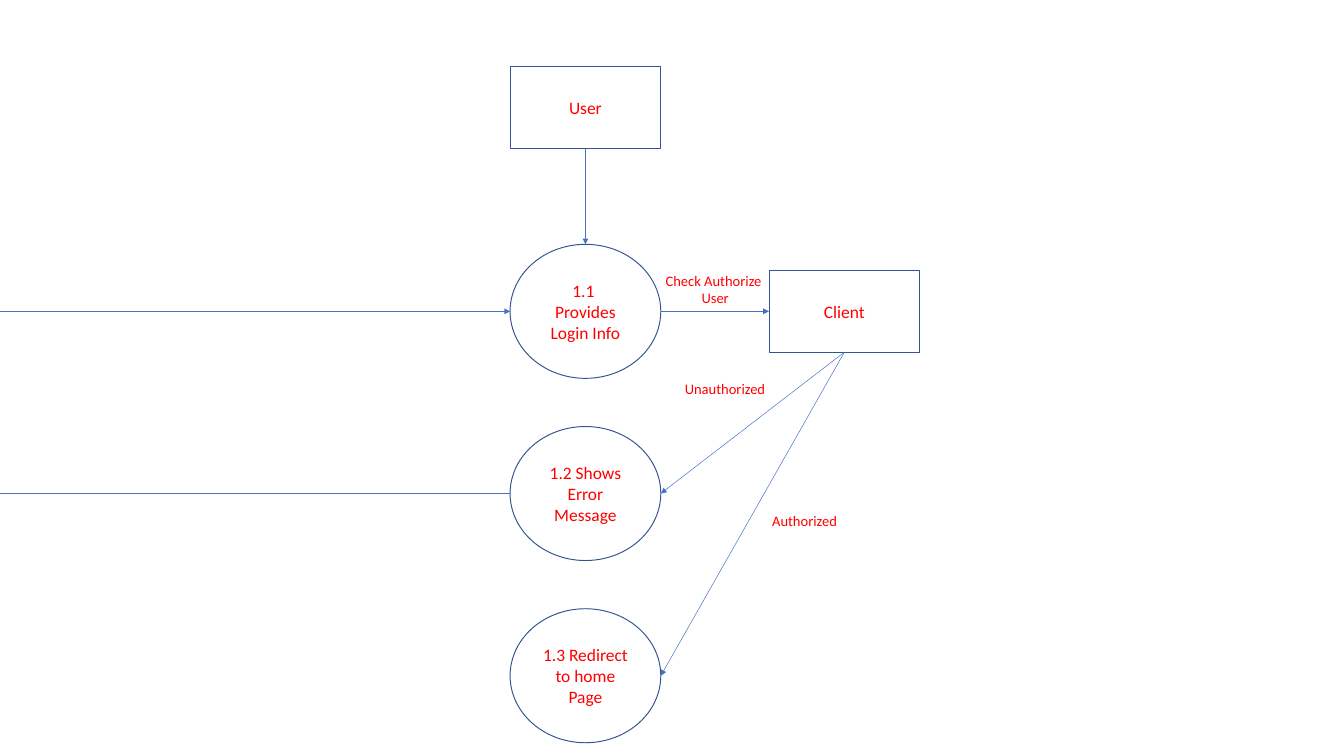
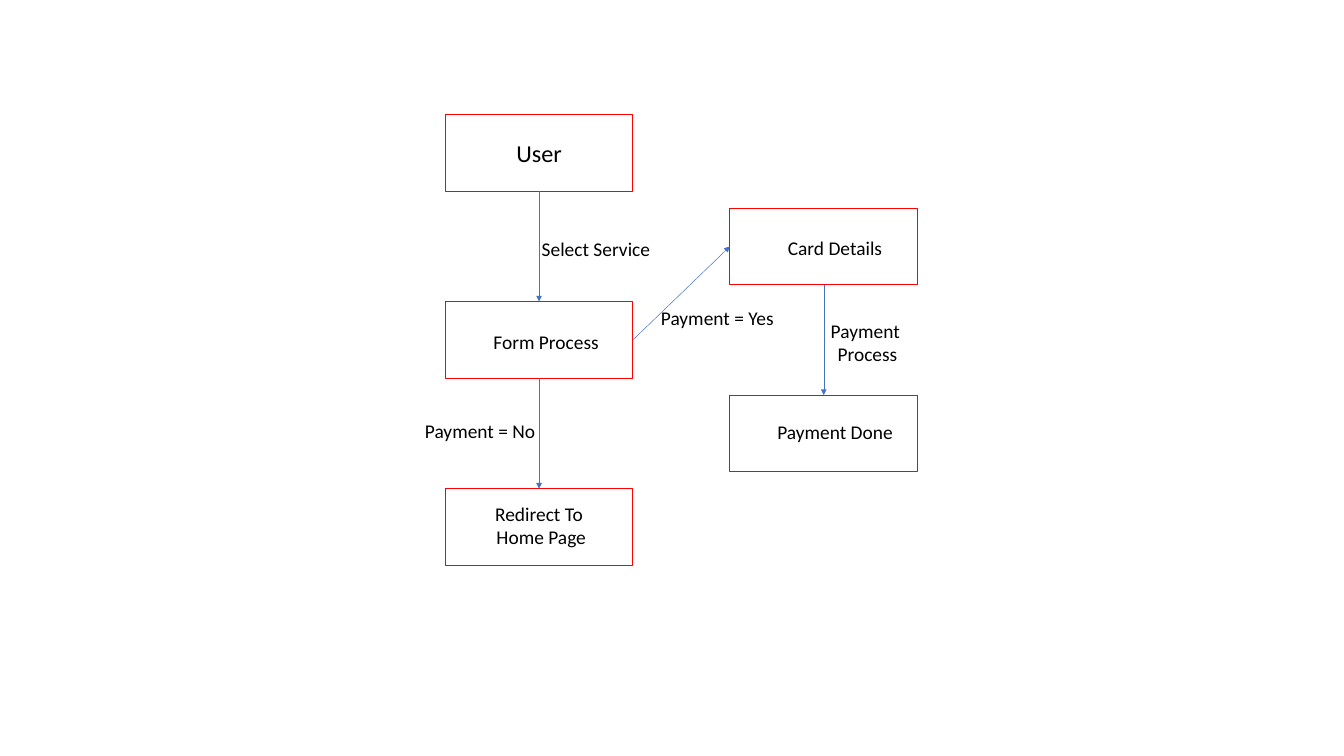
from lxml.etree import SubElement
from pptx import Presentation
from pptx.dml.color import RGBColor
from pptx.enum.shapes import MSO_CONNECTOR, MSO_SHAPE
from pptx.enum.text import MSO_ANCHOR, MSO_AUTO_SIZE, PP_ALIGN
from pptx.oxml.ns import qn
from pptx.util import Inches, Pt

SLIDE_W, SLIDE_H = 19.26, 10.83
FONT = "Calibri"
NAVY, RED, BLUE, BLACK = "325491", "FF0000", "4472C4", "000000"

# Each side: horizontal share, vertical share, site on a rectangle, site on an ellipse
SIDES = {
    "top": (0.5, 0, 0, 0),
    "left": (0, 0.5, 1, 2),
    "bottom": (0.5, 1, 2, 4),
    "right": (1, 0.5, 3, 6),
}


def color(hex_string):
    return RGBColor.from_string(hex_string)


def write(frame, text, size, text_color):
    """Centred text, one paragraph per line."""
    frame.text = text
    for paragraph in frame.paragraphs:
        paragraph.alignment = PP_ALIGN.CENTER
        paragraph.font.name = FONT
        paragraph.font.size = Pt(size)
        paragraph.font.color.rgb = color(text_color)


def add_node(slide, kind, box, text, size, outline, text_color, shift=(0, 0)):
    """Outlined shape; shift moves its text right and down from the centre."""
    node = slide.shapes.add_shape(kind, *map(Inches, box))
    node.shadow.inherit = False
    node.fill.background()
    node.line.color.rgb = color(outline)
    node.line.width = Pt(1)
    frame = node.text_frame
    frame.word_wrap = True
    frame.vertical_anchor = MSO_ANCHOR.MIDDLE
    right, down = shift
    frame.margin_left = Inches(0.1 + max(0, 2 * right))
    frame.margin_top = Inches(0.05 + max(0, 2 * down))
    frame.margin_bottom = Inches(0.05 + max(0, -2 * down))
    write(frame, text, size, text_color)
    return node


def add_label(slide, box, text, size, text_color):
    label = slide.shapes.add_textbox(*map(Inches, box))
    label.text_frame.word_wrap = False
    label.text_frame.auto_size = MSO_AUTO_SIZE.SHAPE_TO_FIT_TEXT
    write(label.text_frame, text, size, text_color)


def locate(end):
    """Point of an end, which is (node, side) or (x, y) in inches."""
    node, side = end
    if side not in SIDES:
        return Inches(node), Inches(side)
    across, down = SIDES[side][:2]
    return (node.left + int(node.width * across),
            node.top + int(node.height * down))


def add_link(slide, start, finish, arrow=True):
    """Thin straight line, glued to the nodes it touches."""
    link = slide.shapes.add_connector(
        MSO_CONNECTOR.STRAIGHT, *locate(start), *locate(finish))
    link.line.color.rgb = color(BLUE)
    link.line.width = Pt(0.5)
    if arrow:
        SubElement(link.line._get_or_add_ln(), qn("a:tailEnd"), type="triangle")
    SubElement(link._element.spPr, qn("a:effectLst"))
    glue = link._element.nvCxnSpPr.cNvCxnSpPr
    for tag, (node, side) in (("a:stCxn", start), ("a:endCxn", finish)):
        if side in SIDES:
            is_ellipse = node.auto_shape_type == MSO_SHAPE.OVAL
            site = SIDES[side][3 if is_ellipse else 2]
            SubElement(glue, qn(tag), id=str(node.shape_id), idx=str(site))


def login_flow(slide, left, top):
    """Login steps in a column, with the client at the right."""
    width, entity_h, step_h, pitch = 2.16, 1.17, 1.92, 2.61
    first_step = top + 2.54
    style = (18, NAVY, RED)

    # Entities and steps
    user = add_node(slide, MSO_SHAPE.RECTANGLE, (left, top, width, entity_h),
                    "User", *style)
    client_top = first_step + (step_h - entity_h) / 2
    client = add_node(slide, MSO_SHAPE.RECTANGLE,
                      (left + 3.71, client_top, width, entity_h), "Client", *style)
    login, error, home = [
        add_node(slide, MSO_SHAPE.OVAL,
                 (left, first_step + row * pitch, width, step_h), text, *style)
        for row, text in enumerate((
            "1.1 \nProvides Login Info",
            "1.2 Shows Error Message",
            "1.3 Redirect to home Page"))
    ]

    # Flow between them
    add_link(slide, (user, "bottom"), (login, "top"))
    add_link(slide, (login, "right"), (client, "left"))
    for outcome in (error, home):
        add_link(slide, (client, "bottom"), (outcome, "right"))

    # Return from the error to the login, by way of the slide's left edge
    login_y = first_step + step_h / 2
    add_link(slide, (error, "left"), (0, login_y + pitch), arrow=False)
    add_link(slide, (0, login_y), (login, "left"))

    # Conditions
    for x, y, w, h, text in (
            (2.12, 2.88, 1.59, 0.61, "Check Authorize\n User"),
            (2.4, 4.43, 1.36, 0.35, "Unauthorized"),
            (3.65, 6.33, 1.14, 0.35, "Authorized")):
        add_label(slide, (left + x, top + y, w, h), text, 15, RED)


def payment_flow(slide, left, top):
    """Service steps at the left, card payment half a row lower at the right."""
    width, height, column, pitch = 2.69, 1.1, 4.08, 2.68

    def step(col, row, text, shift=(0, 0), size=20):
        box = (left + col * column, top + row * pitch, width, height)
        return add_node(slide, MSO_SHAPE.RECTANGLE, box, text, size,
                        RED, BLACK, shift)

    # Steps
    user = step(0, 0, "User", size=25)
    form = step(0, 1, "Form Process", (0.1, 0.03))
    home = step(0, 2, "Redirect To \nHome Page", (0.03, -0.03))
    card = step(1, 0.5, "Card Details", (0.16, 0.02))
    done = step(1, 1.5, "Payment Done", (0.16, -0.02))

    # Flow between them
    for upper, lower in ((user, form), (form, home), (card, done)):
        add_link(slide, (upper, "bottom"), (lower, "top"))
    add_link(slide, (form, "right"), (card, "left"))

    # Conditions
    for x, y, w, h, text in (
            (1.27, 1.71, 1.78, 0.44, "Select Service"),
            (2.98, 2.69, 1.84, 0.44, "Payment = Yes"),
            (-0.4, 4.31, 1.8, 0.44, "Payment = No"),
            (5.42, 2.88, 1.2, 0.77, "Payment\n Process")):
        add_label(slide, (left + x, top + y, w, h), text, 20, BLACK)


def main():
    deck = Presentation()
    deck.slide_width, deck.slide_height = Inches(SLIDE_W), Inches(SLIDE_H)
    for flow, left, top in ((login_flow, 7.31, 0.96), (payment_flow, 6.38, 1.64)):
        flow(deck.slides.add_slide(deck.slide_layouts[6]), left, top)
    deck.save("out.pptx")


if __name__ == "__main__":
    main()
